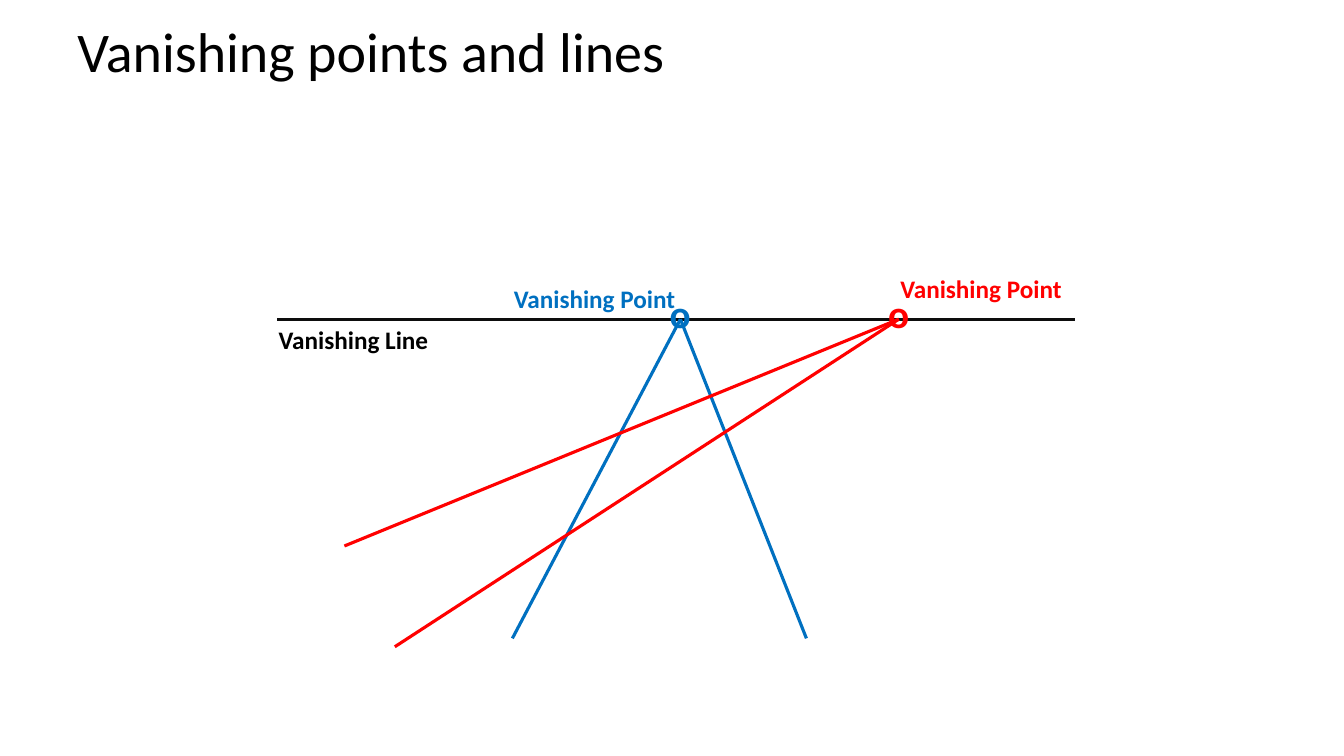
from pptx import Presentation
from pptx.dml.color import RGBColor as RGB
from pptx.enum.shapes import MSO_CONNECTOR as Conn
from pptx.enum.text import MSO_ANCHOR as Anchor, PP_ALIGN as Align
from pptx.oxml.ns import qn
from pptx.util import Inches, Pt

COLORS = {"black": "000000", "line": "0D0D0D", "blue": "0070C0", "red": "FF0000"}

deck = Presentation()
deck.slide_width, deck.slide_height = Inches(13.333), Inches(7.5)
slide = deck.slides.add_slide(deck.slide_layouts[5])
shapes = slide.shapes

# Grid of 160 columns by 90 rows
UNIT = deck.slide_height / 90


def label(text, col, row, wide, high, size, color, wrap=False):
    box = shapes.add_textbox(*[int(n * UNIT) for n in (col, row, wide, high)])
    box.text_frame.word_wrap = wrap
    para = box.text_frame.paragraphs[0]
    para.text = text
    font = para.font
    font.name, font.size, font.bold = "Calibri", Pt(size), True
    font.color.rgb = RGB.from_string(COLORS[color])


def draw(start, end, color):
    ends = [int(n * UNIT) for n in (*start, *end)]
    line = shapes.add_connector(Conn.STRAIGHT, *ends)
    line.line.color.rgb = RGB.from_string(COLORS[color])
    line.line.width = Pt(2.25)
    props = line._element.spPr
    props.append(props.makeelement(qn("a:effectLst"), {}))


# Title
title = shapes.title
title.left, title.top = int(8 * UNIT), 0
title.width, title.height = int(144 * UNIT), int(12 * UNIT)
title.text_frame.vertical_anchor = Anchor.MIDDLE
head = title.text_frame.paragraphs[0]
head.text = "Vanishing points and lines"
head.alignment = Align.LEFT
head.font.name, head.font.size = "Calibri", Pt(40)
head.font.color.rgb = RGB.from_string(COLORS["black"])

# Vanishing line
level = 38
draw((33, level), (128, level), "line")

# Vanishing points: color, column, far ends of the rays, label place
points = [
    ("blue", 81, [(61, 76), (96, 76)], (60, 33.1)),
    ("red", 107, [(41, 65), (47, 77)], (106, 32)),
]
for color, col, ends, place in points:
    for end in ends:
        draw(end, (col, level), color)
    label("o", col - 2.45, level - 4.1, 4.9, 6.8, 28, color)
    label("Vanishing Point", *place, 21.7, 4.8, 18, color)

label("Vanishing Line", 32, level, 26, 4.8, 18, "black", wrap=True)

deck.save("out.pptx")
